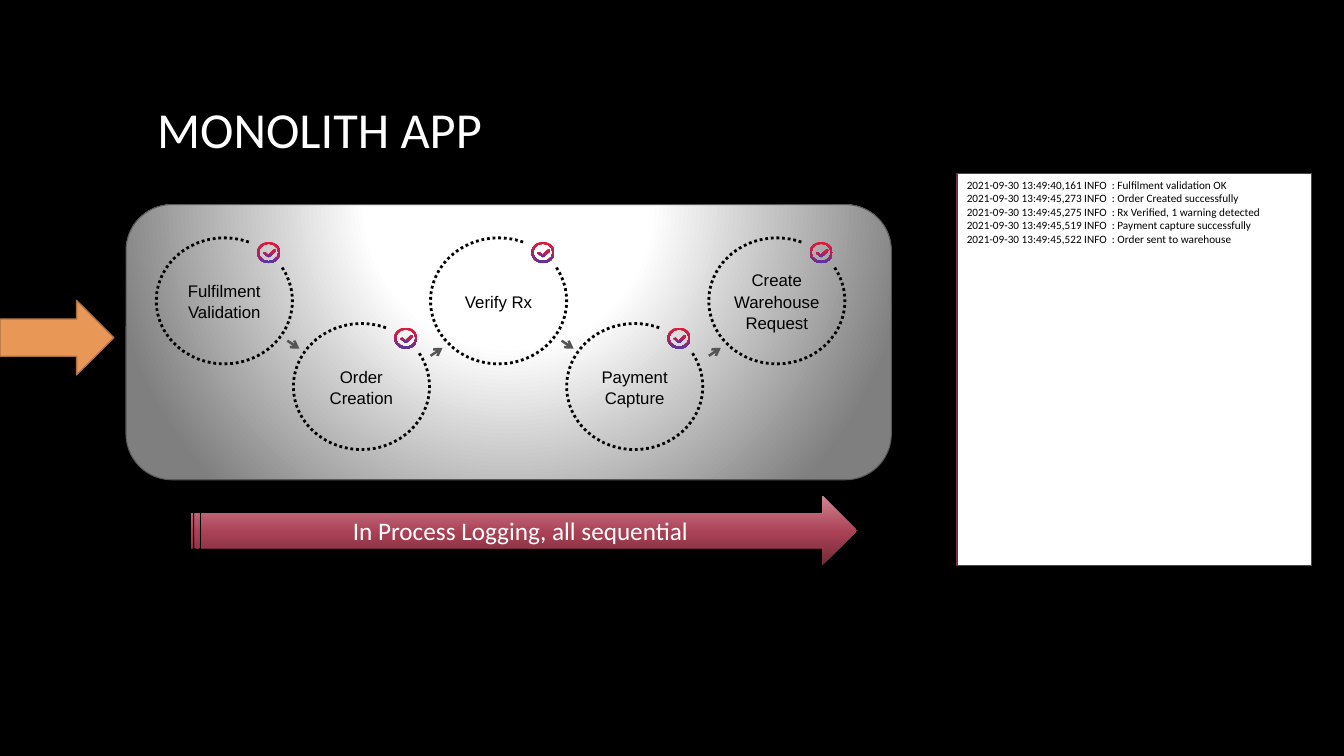
from lxml.etree import SubElement
from pptx import Presentation
from pptx.dml.color import RGBColor
from pptx.enum.dml import MSO_LINE
from pptx.enum.shapes import MSO_CONNECTOR, MSO_SHAPE
from pptx.enum.text import MSO_ANCHOR, PP_ALIGN
from pptx.oxml import parse_xml
from pptx.oxml.ns import nsdecls, qn
from pptx.util import Pt

PX = 9144
BLACK = RGBColor(0x00, 0x00, 0x00)
WHITE = RGBColor(0xFF, 0xFF, 0xFF)
PANEL_GRAY = RGBColor(0x7F, 0x7F, 0x7F)
PANEL_EDGE = RGBColor(0x59, 0x59, 0x59)
STEP_ARROW = RGBColor(0x55, 0x55, 0x55)
RED = RGBColor(0xE3, 0x19, 0x37)
MAGENTA = RGBColor(0xA8, 0x24, 0x65)
VIOLET = RGBColor(0x52, 0x36, 0xAB)
ORANGE = RGBColor(0xE9, 0x97, 0x57)
ORANGE_EDGE = RGBColor(0xAC, 0x70, 0x40)
ROSE_DARK = RGBColor(0x6F, 0x2A, 0x37)
ROSE = RGBColor(0xAB, 0x41, 0x55)
ROSE_LIGHT = RGBColor(0xD0, 0x85, 0x93)
LOG_EDGE = RGBColor(0x7A, 0x2F, 0x3D)

LINEAR_UP = '<a:lin ang="16200000" scaled="0"/>'
LINEAR_DOWN = '<a:lin ang="5400000" scaled="0"/>'
RADIAL_TOP = ('<a:path path="circle"><a:fillToRect l="50000" t="-80000" '
              'r="50000" b="180000"/></a:path>')
BADGE_STOPS = [(0, RED), (60, MAGENTA), (100, VIOLET)]


def paint(shape, fill=None, direction=None, line=None, width=1):
    shape.shadow.inherit = False
    if fill is None or direction:
        shape.fill.background()
    else:
        shape.fill.solid()
        shape.fill.fore_color.rgb = fill
    if direction:
        stops = "".join(f'<a:gs pos="{position * 1000}"><a:srgbClr val="{color}"/></a:gs>'
                        for position, color in fill)
        gradient = parse_xml(f'<a:gradFill rotWithShape="1" {nsdecls("a")}>'
                             f'<a:gsLst>{stops}</a:gsLst>{direction}</a:gradFill>')
        properties = shape._element.spPr
        properties.replace(properties.find(qn("a:noFill")), gradient)
    if line is None:
        shape.line.fill.background()
    else:
        shape.line.color.rgb = line
        shape.line.width = Pt(width)


def write(shape, lines, size, font, color, align=PP_ALIGN.CENTER,
          anchor=MSO_ANCHOR.MIDDLE, spacing=None):
    frame = shape.text_frame
    frame.word_wrap = True
    frame.vertical_anchor = anchor
    for index, line in enumerate(lines):
        para = frame.add_paragraph() if index else frame.paragraphs[0]
        para.alignment = align
        if spacing:
            para.line_spacing = spacing
        span = para.add_run()
        span.text = line
        span.font.size = Pt(size)
        span.font.name = font
        span.font.color.rgb = color


deck = Presentation()
deck.slide_width = 1333 * PX
deck.slide_height = 750 * PX
page = deck.slides.add_slide(deck.slide_layouts[6])
page.background.fill.solid()
page.background.fill.fore_color.rgb = BLACK
shapes = page.shapes

title = shapes.add_textbox(125 * PX, 82 * PX, 384 * PX, 91 * PX)
write(title, ["MONOLITH APP"], 36, "Calibri", WHITE)

panel = shapes.add_shape(MSO_SHAPE.ROUNDED_RECTANGLE,
                         125 * PX, 203 * PX, 759 * PX, 273 * PX)
paint(panel, [(0, WHITE), (35, WHITE), (100, PANEL_GRAY)], RADIAL_TOP, PANEL_EDGE, 0.75)

STEPS = ["Fulfilment Validation", "Order Creation", "Verify Rx",
         "Payment Capture", "Create Warehouse Request"]
STEP_LEFTS = [155, 291, 427, 562, 703]
STEP_TOPS = [236, 321]
CHECK_POINTS = [(8, 10), (11, 13), (17, 7), (19, 8), (19, 9), (12, 15), (11, 15)]

for index, (label, left) in enumerate(zip(STEPS, STEP_LEFTS)):
    top = STEP_TOPS[index % 2]
    frame_box = (left * PX, top * PX, 135 * PX, 125 * PX)

    ring = shapes.add_shape(MSO_SHAPE.ARC, *frame_box)
    ring.adjustments[0] = 198.04
    ring.adjustments[1] = 176.69
    paint(ring, line=BLACK, width=2)
    ring.line.dash_style = MSO_LINE.ROUND_DOT

    step = shapes.add_shape(MSO_SHAPE.OVAL, *frame_box)
    paint(step)
    step.text_frame.margin_left = step.text_frame.margin_right = 0
    step.text_frame.margin_top = step.text_frame.margin_bottom = 10 * PX
    write(step, [label], 12, "Arial", BLACK, spacing=1.05)

    badge_left, badge_top = left + 100, top + 4
    badge = shapes.add_shape(MSO_SHAPE.DONUT, badge_left * PX, badge_top * PX,
                             23 * PX, 21 * PX)
    badge.adjustments[0] = 0.09
    paint(badge, BADGE_STOPS, LINEAR_DOWN)

    outline = shapes.build_freeform(badge_left + 6, badge_top + 11, PX)
    outline.add_line_segments([(badge_left + x, badge_top + y) for x, y in CHECK_POINTS])
    paint(outline.convert_to_shape(), BADGE_STOPS, LINEAR_DOWN)

    if index < len(STEPS) - 1:
        if index % 2:
            start_x, start_y, end_y = STEP_LEFTS[index + 1], 353, 345
        else:
            start_x, start_y, end_y = left + 130, 338, 346
        arrow = shapes.add_connector(MSO_CONNECTOR.STRAIGHT, start_x * PX, start_y * PX,
                                     (start_x + 12) * PX, end_y * PX)
        arrow.line.color.rgb = STEP_ARROW
        arrow.line.width = Pt(1.75)
        SubElement(arrow.line._get_or_add_ln(), qn("a:tailEnd"), type="arrow")
        SubElement(arrow._element.spPr, qn("a:effectLst"))

entry_arrow = shapes.add_shape(MSO_SHAPE.RIGHT_ARROW, 0, 298 * PX, 113 * PX, 74 * PX)
paint(entry_arrow, ORANGE, line=ORANGE_EDGE)

logging_arrow = shapes.add_shape(MSO_SHAPE.STRIPED_RIGHT_ARROW,
                                 189 * PX, 492 * PX, 661 * PX, 69 * PX)
paint(logging_arrow, [(0, ROSE_DARK), (48, ROSE), (100, ROSE_LIGHT)], LINEAR_UP)
write(logging_arrow, ["In Process Logging, all sequential"], 18, "Calibri", WHITE)

LOG_LINES = [
    "2021-09-30 13:49:40,161 INFO  : Fulfilment validation OK",
    "2021-09-30 13:49:45,273 INFO  : Order Created successfully",
    "2021-09-30 13:49:45,275 INFO  : Rx Verified, 1 warning detected",
    "2021-09-30 13:49:45,519 INFO  : Payment capture successfully",
    "2021-09-30 13:49:45,522 INFO  : Order sent to warehouse",
]
log_box = shapes.add_shape(MSO_SHAPE.RECTANGLE, 949 * PX, 172 * PX, 352 * PX, 389 * PX)
paint(log_box, WHITE, line=LOG_EDGE)
write(log_box, LOG_LINES, 8, "Calibri", BLACK, PP_ALIGN.LEFT, MSO_ANCHOR.TOP)

deck.save("out.pptx")
